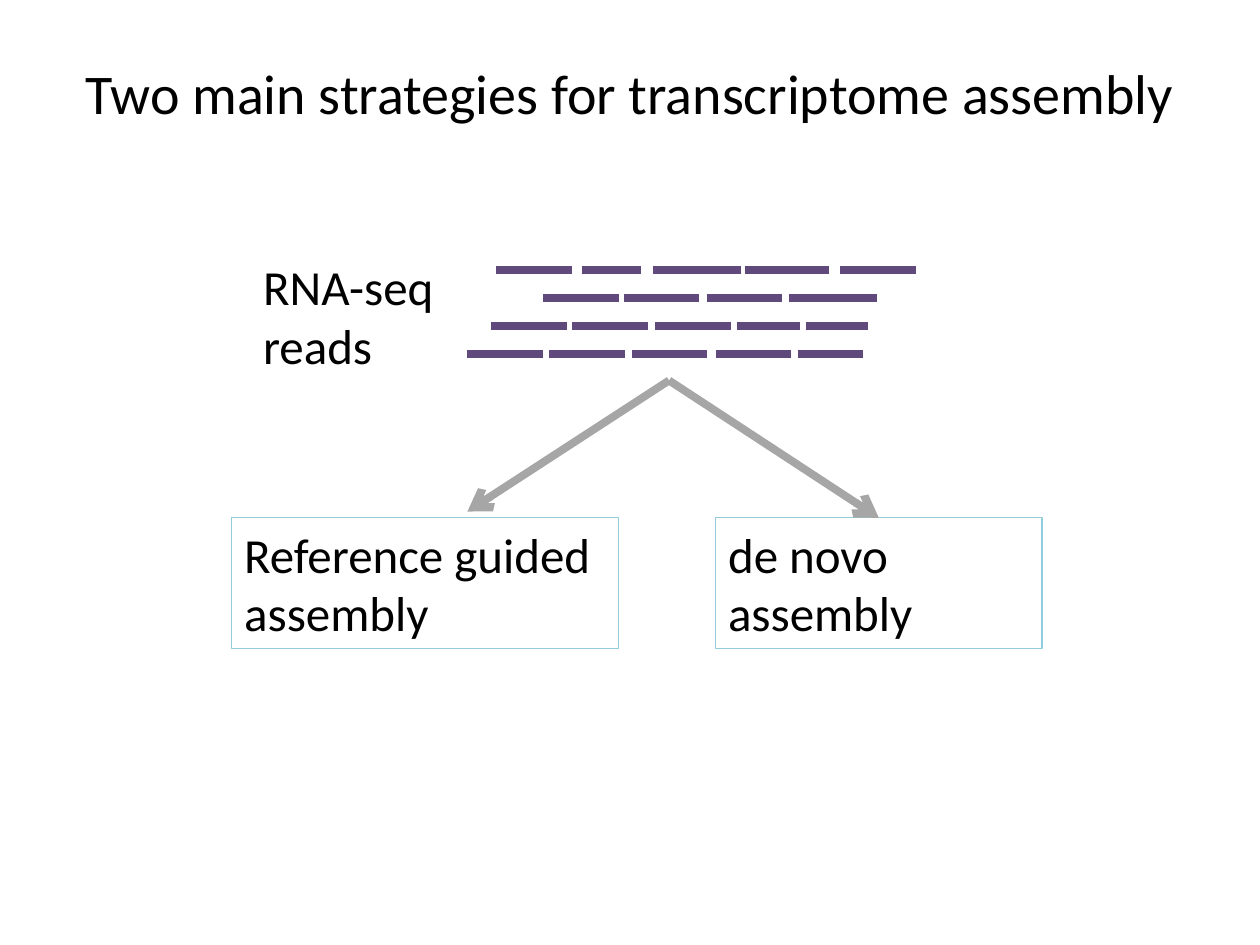
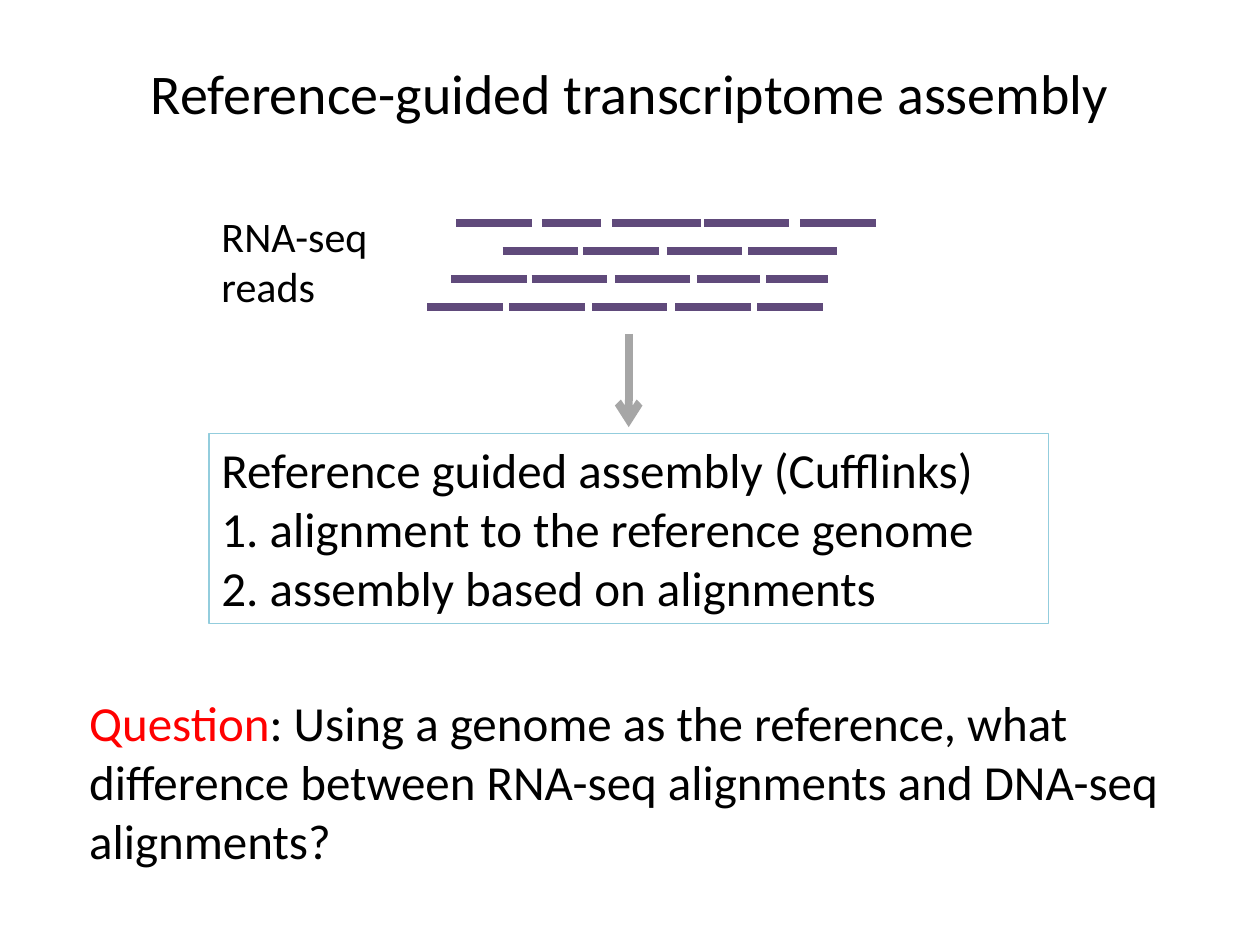
from lxml import etree
from pptx import Presentation
from pptx.dml.color import RGBColor
from pptx.enum import shapes, text
from pptx.oxml import ns
from pptx.util import Inches, Pt

FONT = "Calibri"
BLACK, RED, PURPLE, GRAY, BLUE = "000000", "FF0000", "604A7B", "A6A6A6", "93CDDD"
TITLE_BOX = (0.5, 0.3, 9, 0.87)
READS_HEIGHT = 0.67
READ_ROWS = [
    [(0.23, 0.83), (0.91, 1.38), (1.47, 2.17), (2.2, 2.87), (2.96, 3.56)],
    [(0.6, 1.2), (1.24, 1.84), (1.9, 2.5), (2.55, 3.25)],
    [(0.19, 0.79), (0.83, 1.43), (1.49, 2.09), (2.14, 2.64), (2.69, 3.18)],
    [(0, 0.6), (0.65, 1.25), (1.31, 1.9), (1.97, 2.57), (2.62, 3.14)],
]

SLIDES = [
    {
        "title": "Two main strategies for transcriptome assembly",
        "reads_at": (3.71, 2.14),
        "label": ((1.99, 1.99, 1.6, 1.04), 28),
        "boxes": [
            ((1.84, 4.11, 3.07, 1.04), ["Reference guided", "assembly"]),
            ((5.68, 4.11, 2.59, 1.04), ["de novo assembly"]),
        ],
        "arrows": [((5.31, 3.02), (3.71, 4.06), None), ((5.31, 3.02), (6.97, 4.11), 1)],
    },
    {
        "title": "Reference-guided transcriptome assembly",
        "reads_at": (3.39, 1.77),
        "label": ((1.66, 1.62, 1.37, 0.91), 24),
        "boxes": [
            ((1.66, 3.44, 6.66, 1.51), [
                "Reference guided assembly (Cufflinks)",
                "1. alignment to the reference genome",
                "2. assembly based on alignments",
            ]),
        ],
        "arrows": [((4.99, 2.65), (4.99, 3.39), None)],
        "question": ((0.61, 5.45, 8.82, 1.51), [
            ("Question", RED),
            (": Using a genome as the reference, what difference between "
             "RNA-seq alignments and DNA-seq alignments?", BLACK),
        ]),
    },
]


def rgb(color):
    return RGBColor.from_string(color)


def inches(values):
    return [Inches(v) for v in values]


def style_run(r, size, color=BLACK):
    r.font.name = FONT
    r.font.size = Pt(size)
    r.font.color.rgb = rgb(color)


def write(sp, lines, size, wrap=True):
    tf = sp.text_frame
    tf.word_wrap = wrap
    tf.auto_size = text.MSO_AUTO_SIZE.SHAPE_TO_FIT_TEXT
    tf.vertical_anchor = text.MSO_ANCHOR.TOP
    tf.text = "\n".join(lines)
    for p in tf.paragraphs:
        p.alignment = text.PP_ALIGN.LEFT
        for r in p.runs:
            style_run(r, size)


def add_line(parent, start, end, color, arrow=False):
    line = parent.add_connector(shapes.MSO_CONNECTOR.STRAIGHT, *inches(start + end))
    line.line.color.rgb = rgb(color)
    line.line.width = Pt(4.5)
    if arrow:
        ln = line.line._get_or_add_ln()
        etree.SubElement(ln, ns.qn("a:tailEnd")).set("type", "arrow")
    etree.SubElement(line._element.spPr, ns.qn("a:effectLst"))
    return line


def add_title(s, title):
    sp = s.shapes.title
    sp.left, sp.top, sp.width, sp.height = inches(TITLE_BOX)
    tf = sp.text_frame
    tf.text = title
    tf.vertical_anchor = text.MSO_ANCHOR.MIDDLE
    p = tf.paragraphs[0]
    p.alignment = text.PP_ALIGN.CENTER
    style_run(p.runs[0], 32)


def add_reads(s, left, top):
    step = READS_HEIGHT / (len(READ_ROWS) - 1)
    for i, row in enumerate(READ_ROWS):
        group = s.shapes.add_group_shape()
        y = top + i * step
        for x1, x2 in row:
            add_line(group.shapes, (left + x1, y), (left + x2, y), PURPLE)


def add_box(s, place, lines):
    sp = s.shapes.add_shape(shapes.MSO_SHAPE.RECTANGLE, *inches(place))
    sp.shadow.inherit = False
    sp.fill.background()
    sp.line.color.rgb = rgb(BLUE)
    sp.line.width = Pt(0.75)
    write(sp, lines, 28)
    return sp


def add_question(s, place, parts):
    sp = s.shapes.add_textbox(*inches(place))
    tf = sp.text_frame
    tf.word_wrap = True
    tf.auto_size = text.MSO_AUTO_SIZE.SHAPE_TO_FIT_TEXT
    for words, color in parts:
        r = tf.paragraphs[0].add_run()
        r.text = words
        style_run(r, 28, color)


def build(prs, content):
    s = prs.slides.add_slide(prs.slide_layouts[5])
    add_title(s, content["title"])
    add_reads(s, *content["reads_at"])
    place, size = content["label"]
    write(s.shapes.add_textbox(*inches(place)), ["RNA-seq", "reads"], size, wrap=False)
    boxes = [add_box(s, *box) for box in content["boxes"]]
    for start, end, target in content["arrows"]:
        arrow = add_line(s.shapes, start, end, GRAY, arrow=True)
        if target is not None:
            arrow.end_connect(boxes[target], 0)
    if "question" in content:
        add_question(s, *content["question"])


def main():
    prs = Presentation()
    prs.slide_width, prs.slide_height = Inches(10), Inches(7.5)
    for content in SLIDES:
        build(prs, content)
    prs.save("out.pptx")


if __name__ == "__main__":
    main()
